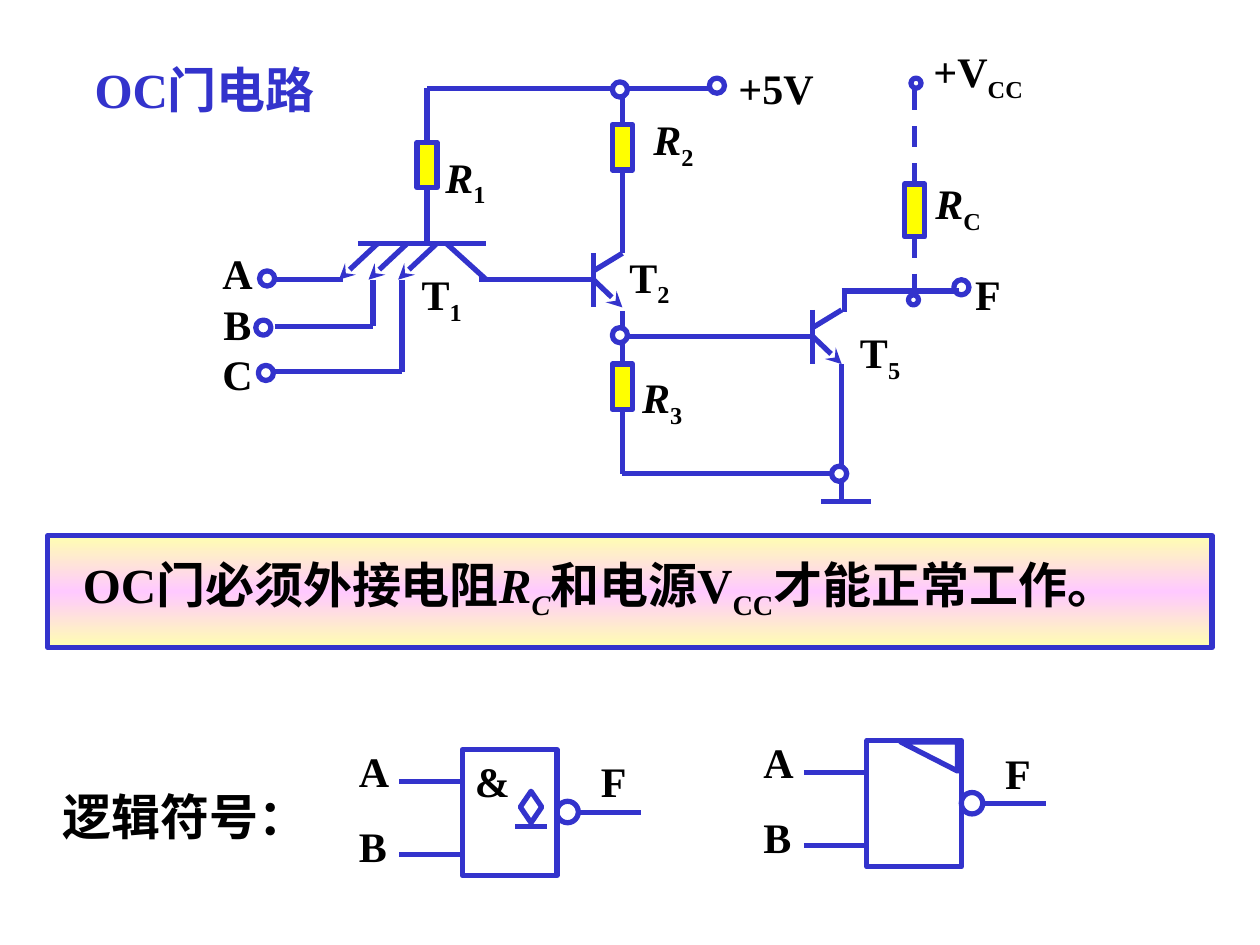
from copy import deepcopy

from lxml.etree import SubElement
from pptx import Presentation
from pptx.dml.color import RGBColor
from pptx.enum.dml import MSO_LINE
from pptx.enum.shapes import MSO_CONNECTOR, MSO_SHAPE
from pptx.enum.text import MSO_ANCHOR, MSO_AUTO_SIZE, PP_ALIGN
from pptx.oxml.ns import qn
from pptx.util import Inches, Pt

THEME = {
    "blue": RGBColor.from_string("3333CC"),
    "yellow": RGBColor.from_string("FFFF00"),
    "white": RGBColor.from_string("FFFFFF"),
    "black": RGBColor.from_string("000000"),
    "banner": [(0, "FFFFB1"), (0.5, "FFC9FF"), (1, "FFFFB1")],
    "latin": "Times New Roman",
    "cjk": "Noto Sans CJK SC",
    "large": Pt(28),
    "label": Pt(24),
    "stroke": Pt(3),
}

presentation = Presentation()
presentation.slide_width, presentation.slide_height = Inches(10), Inches(7.5)
# Grid of 10 columns by 7.5 rows; every place below is given in them.
COLUMN = presentation.slide_width / 10
ROW = presentation.slide_height / 7.5
slide = presentation.slides.add_slide(presentation.slide_layouts[5])


def wire(x1, y1, x2, y2, dashed=False, arrow=False):
    connector = slide.shapes.add_connector(
        MSO_CONNECTOR.STRAIGHT,
        round(x1 * COLUMN), round(y1 * ROW), round(x2 * COLUMN), round(y2 * ROW))
    connector.line.color.rgb = THEME["blue"]
    connector.line.width = THEME["stroke"]
    if dashed:
        connector.line.dash_style = MSO_LINE.DASH
    properties = connector._element.spPr
    if arrow:
        SubElement(properties.find(qn("a:ln")), qn("a:tailEnd"), type="stealth")
    SubElement(properties, qn("a:effectLst"))
    return connector


def symbol(kind, left, top, width, height, fill=None):
    """Add a blue-outlined preset shape, hollow unless a fill is given."""
    shape = slide.shapes.add_shape(
        kind, round(left * COLUMN), round(top * ROW),
        round(width * COLUMN), round(height * ROW))
    shape.shadow.inherit = False
    shape.line.color.rgb = THEME["blue"]
    shape.line.width = THEME["stroke"]
    if fill is None:
        shape.fill.background()
    else:
        shape.fill.solid()
        shape.fill.fore_color.rgb = fill
    return shape


# Title
title = slide.shapes.title
title.left, title.top = round(0.65 * COLUMN), round(0.42 * ROW)
title.width, title.height = round(2.26 * COLUMN), round(0.57 * ROW)
title.text_frame.text = "OC门电路"
title.text_frame.vertical_anchor = MSO_ANCHOR.MIDDLE
paragraph = title.text_frame.paragraphs[0]
paragraph.alignment = PP_ALIGN.LEFT
paragraph.font.name = THEME["latin"]
paragraph.font.size = THEME["large"]
paragraph.font.bold = True
paragraph.font.color.rgb = THEME["blue"]

# Transistors T2 and T5: base bar, emitter, collector, base lead
for x, y in [(4.71, 2.22), (6.45, 2.67)]:
    wire(x, y - 0.21, x, y + 0.22)
    wire(x, y, x + 0.23, y + 0.22, arrow=True)
    wire(x, y - 0.07, x + 0.23, y - 0.21)
    wire(x - 0.31, y, x, y)

# Multi-emitter transistor T1
wire(2.84, 1.93, 3.86, 1.93)
for emitter in range(3):
    x = 3 + emitter * 0.235
    wire(x, 1.93, x - 0.31, 2.22, arrow=True)
wire(3.54, 1.93, 3.86, 2.22)

# Resistors, each with a lead above and below: x, top, height, lead ends
for x, top, height, start, end, dashed in [
    (3.39, 1.13, 0.36, 0.7, 1.93, False),
    (4.94, 0.99, 0.36, 0.7, 2.01, False),
    (4.94, 2.89, 0.36, 2.47, 3.76, False),
    (7.26, 1.46, 0.42, 0.71, 2.44, True),
]:
    resistor = symbol(MSO_SHAPE.RECTANGLE, x - 0.08, top, 0.16, height, THEME["yellow"])
    wire(x, start, x, top, dashed).end_connect(resistor, 0)
    wire(x, top + height, x, end, dashed).begin_connect(resistor, 2)

# Remaining wires
for ends in [
    (3.39, 0.7, 5.65, 0.7), (3.8, 2.22, 4.42, 2.22),      # supply, T1 to T2
    (4.94, 2.67, 6.2, 2.67), (4.94, 3.76, 6.66, 3.76),    # T2 to T5, return
    (2.18, 2.22, 2.72, 2.22),                             # input A
    (2.96, 2.22, 2.96, 2.59), (2.18, 2.59, 2.96, 2.59),   # input B
    (3.19, 2.22, 3.19, 2.95), (3.19, 2.95, 2.18, 2.95),   # input C
    (6.68, 2.89, 6.68, 3.98), (6.52, 3.98, 6.91, 3.98),   # ground
    (6.68, 2.31, 7.61, 2.31), (6.7, 2.48, 6.7, 2.31),     # output F
]:
    wire(*ends)

# Terminals (hollow) and junctions (white)
for left, top, size, fill in [
    (2.06, 2.15, 0.12, None), (2.03, 2.54, 0.12, None), (2.05, 2.9, 0.12, None),
    (5.63, 0.62, 0.12, None), (7.57, 2.22, 0.12, None), (7.23, 0.62, 0.08, None),
    (4.86, 2.6, 0.12, THEME["white"]), (4.86, 0.65, 0.12, THEME["white"]),
    (6.6, 3.7, 0.12, THEME["white"]), (7.21, 2.34, 0.08, THEME["white"]),
]:
    symbol(MSO_SHAPE.OVAL, left, top, size, size, fill)

# Banner
banner = symbol(MSO_SHAPE.RECTANGLE, 0.38, 4.25, 9.24, 0.89)
banner.fill.gradient()
banner.fill.gradient_angle = 90
stop_list = banner._element.spPr.find(".//" + qn("a:gsLst"))
stop_list.append(deepcopy(stop_list[0]))
for stop, (position, color) in zip(banner.fill.gradient_stops, THEME["banner"]):
    stop.position = position
    stop.color.rgb = RGBColor.from_string(color)

# Labels: box, size, centred, wrapped, space before later paragraphs, paragraphs of runs
labels = [
    ((5.76, 0.45, 0.8, 0.5), "label", True, False, 0, [[("+5V", "")]]),
    ((1.66, 1.91, 0.45, 1.31), "label", True, False, 0, [[(name, "")] for name in "ABC"]),
    ((7.64, 2.08, 0.4, 0.5), "label", True, False, 0, [[("F", "")]]),
    ((7.31, 0.34, 0.95, 0.5), "label", False, False, 0, [[("+V", ""), ("CC", "sub")]]),
    ((0.56, 4.38, 8.82, 0.57), "large", False, True, 0, [[
        ("OC", ""), ("门必须外接电阻", "cjk"), ("R", "italic"), ("C", "italic sub"),
        ("和电源", "cjk"), ("V", ""), ("CC", "sub"), ("才能正常工作。", "cjk")]]),
    ((0.4, 6.19, 2.28, 0.57), "large", False, True, 0, [[("逻辑符号：", "")]]),
]
for left, top, width, letter, index in [
    (3.24, 2.11, 0.53, "T", "1"), (4.89, 1.97, 0.53, "T", "2"), (6.72, 2.57, 0.53, "T", "5"),
    (3.43, 1.18, 0.53, "R", "1"), (5.08, 0.88, 0.53, "R", "2"), (4.99, 2.93, 0.53, "R", "3"),
    (7.18, 1.39, 0.85, "R", "C"),
]:
    style = "italic" if letter == "R" else ""
    labels.append(((left, top, width, 0.5), "label", True, False, 0,
                   [[(letter, style), (index, "sub")]]))

# Logic symbols: body, inversion bubble, output and two inputs
for x, y in [(3.67, 5.95), (6.88, 5.88)]:
    symbol(MSO_SHAPE.RECTANGLE, x, y, 0.75, 1)
    symbol(MSO_SHAPE.OVAL, x + 0.75, y + 0.41, 0.17, 0.17)
    wire(x + 0.92, y + 0.5, x + 1.42, y + 0.5)
    for drop in (0.25, 0.83):
        wire(x - 0.5, y + drop, x, y + drop)
    labels.append(((x - 0.92, y - 0.09, 0.58, 1.11), "label", False, True, 14,
                   [[("A", "")], [("B", "")]]))
    labels.append(((x + 1, y, 0.4, 0.5), "label", False, False, 0, [[("F", "")]]))

# Open-collector marks of the two symbols
labels.append(((3.67, 5.95, 0.48, 0.5), "label", False, False, 0, [[("&", "")]]))
symbol(MSO_SHAPE.DIAMOND, 4.13, 6.28, 0.17, 0.25)
wire(4.09, 6.56, 4.34, 6.56)
corner = symbol(MSO_SHAPE.RIGHT_TRIANGLE, 7.15, 5.89, 0.45, 0.23, THEME["white"])
for flip in ("flipH", "flipV"):
    corner._element.spPr.find(qn("a:xfrm")).set(flip, "1")

for (left, top, width, height), size, centred, wrapped, gap, paragraphs in labels:
    frame = slide.shapes.add_textbox(
        round(left * COLUMN), round(top * ROW),
        round(width * COLUMN), round(height * ROW)).text_frame
    frame.word_wrap = wrapped
    frame.auto_size = MSO_AUTO_SIZE.SHAPE_TO_FIT_TEXT
    frame.vertical_anchor = MSO_ANCHOR.MIDDLE
    for number, runs in enumerate(paragraphs):
        paragraph = frame.add_paragraph() if number else frame.paragraphs[0]
        paragraph.alignment = PP_ALIGN.CENTER if centred else PP_ALIGN.LEFT
        if number and gap:
            paragraph.space_before = Pt(gap)
        paragraph.font.name = THEME["latin"]
        paragraph.font.size = THEME[size]
        paragraph.font.bold = True
        paragraph.font.color.rgb = THEME["black"]
        for text, style in runs:
            run = paragraph.add_run()
            run.text = text
            if "italic" in style:
                run.font.italic = True
            if "sub" in style:
                run._r.get_or_add_rPr().set("baseline", "-25000")
            if style == "cjk":
                run.font.name = THEME["cjk"]
                SubElement(run._r.get_or_add_rPr(), qn("a:ea"), typeface=THEME["cjk"])

presentation.save("out.pptx")
